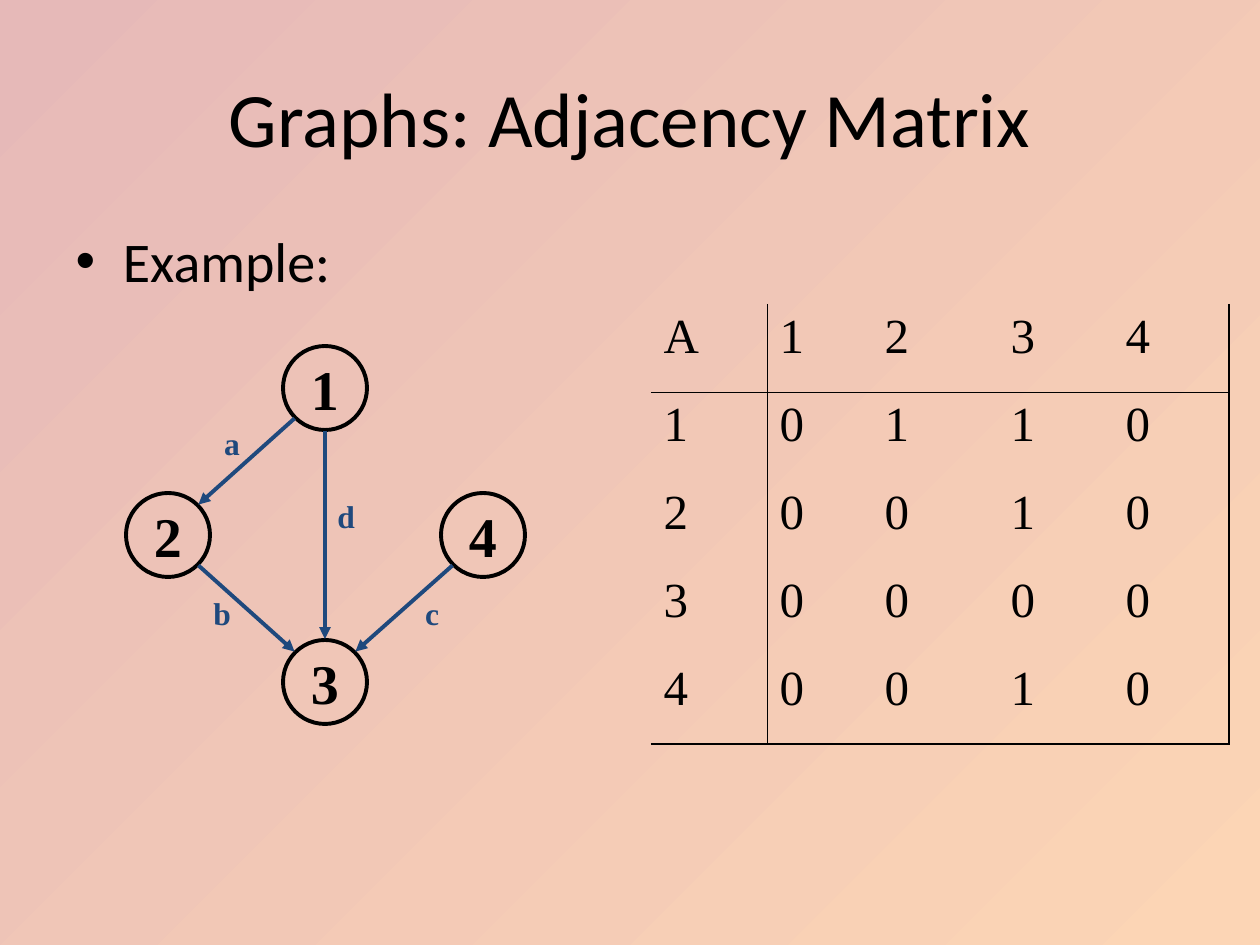
"""Build a slide that shows a directed graph beside its adjacency matrix."""
from dataclasses import dataclass
from math import hypot

from lxml.etree import SubElement
from pptx import Presentation
from pptx.dml.color import RGBColor
from pptx.enum.shapes import MSO_CONNECTOR, MSO_SHAPE
from pptx.enum.text import MSO_ANCHOR, MSO_AUTO_SIZE, PP_ALIGN
from pptx.oxml.ns import qn
from pptx.util import Emu, Pt

TITLE = "Graphs: Adjacency Matrix"
BULLET = "Example:"
NODES = {"1": (325, 388), "2": (168, 535), "4": (483, 535), "3": (325, 682)}
EDGES = [
    ("a", "1", "2", (232, 443)),
    ("b", "2", "3", (222, 613)),
    ("c", "4", "3", (432, 613)),
    ("d", "1", "3", (346, 516)),
]
DIAMETER = 84
LABEL_W, LABEL_H = 42, 50
TABLE_LEFT, TABLE_TOP, ROW_H = 651, 304, 88
COL_WIDTHS = [116, 105, 126, 115, 116]


@dataclass(frozen=True)
class Theme:
    ink: str = "000000"
    edge: str = "1F497D"
    back_start: str = "E6B9B8"
    back_end: str = "FCD5B5"
    sans: str = "Calibri"
    serif: str = "Times New Roman"
    title: int = 44
    body: int = 32
    node: int = 32
    cell: int = 28
    label: int = 18
    line: float = 2.25
    inner_rule: float = 0.45
    outer_rule: float = 1.08


THEME = Theme()


def px(n):
    return Emu(round(n * 914400 / 126))


def box(*lengths):
    return [px(n) for n in lengths]


def place(shape, *lengths):
    shape.left, shape.top, shape.width, shape.height = box(*lengths)


def write(tf, text, size, name, color=THEME.ink, bold=False, align=None):
    tf.text = text
    p = tf.paragraphs[0]
    p.alignment = align
    p.space_before = Pt(0)
    font = p.runs[0].font
    font.size, font.name, font.bold = Pt(size), name, bold
    font.color.rgb = RGBColor.from_string(color)


def style_line(line, color):
    line.color.rgb = RGBColor.from_string(color)
    line.width = Pt(THEME.line)


def paint_background(s):
    fill = s.background.fill
    fill.gradient()
    fill.gradient_angle = 315
    for stop, color in zip(fill.gradient_stops, (THEME.back_start, THEME.back_end)):
        stop.color.rgb = RGBColor.from_string(color)


def add_node(s, name, center):
    x, y = center
    r = DIAMETER / 2
    sp = s.shapes.add_shape(MSO_SHAPE.OVAL, *box(x - r, y - r, DIAMETER, DIAMETER))
    sp.shadow.inherit = False
    sp.fill.background()
    style_line(sp.line, THEME.ink)
    tf = sp.text_frame
    tf.word_wrap = False
    tf.vertical_anchor = MSO_ANCHOR.MIDDLE
    write(tf, name, THEME.node, THEME.serif, bold=True, align=PP_ALIGN.CENTER)


def sign(n):
    return (n > 0) - (n < 0)


def add_edge(s, start, end):
    (x1, y1), (x2, y2) = NODES[start], NODES[end]
    ux, uy = sign(x2 - x1), sign(y2 - y1)
    reach = (DIAMETER / 2 + 1) / hypot(ux, uy)
    dx, dy = ux * reach, uy * reach
    line = s.shapes.add_connector(
        MSO_CONNECTOR.STRAIGHT, *box(x1 + dx, y1 + dy, x2 - dx, y2 - dy))
    style_line(line.line, THEME.edge)
    sp_pr = line._element.spPr
    SubElement(sp_pr.find(qn("a:ln")), qn("a:tailEnd"), type="triangle")
    SubElement(sp_pr, qn("a:effectLst"))


def add_label(s, text, center):
    x, y = center
    tb = s.shapes.add_textbox(*box(x - LABEL_W / 2, y - LABEL_H / 2, LABEL_W, LABEL_H))
    tf = tb.text_frame
    tf.word_wrap = False
    tf.auto_size = MSO_AUTO_SIZE.SHAPE_TO_FIT_TEXT
    write(tf, text, THEME.label, THEME.serif, THEME.edge, True, PP_ALIGN.CENTER)


def matrix_rows():
    names = sorted(NODES)
    links = {(start, end) for _, start, end, _ in EDGES}
    return [["A", *names]] + [
        [row, *(str(int((row, col) in links)) for col in names)] for row in names]


def set_border(cell, side, width):
    ln = SubElement(cell._tc.get_or_add_tcPr(), qn(f"a:ln{side}"), w=str(Pt(width)))
    if width:
        fill = SubElement(ln, qn("a:solidFill"))
        SubElement(fill, qn("a:srgbClr"), val=THEME.ink)
    else:
        SubElement(ln, qn("a:noFill"))


def add_matrix(s):
    rows = matrix_rows()
    n = len(rows)
    frame = s.shapes.add_table(
        n, n, *box(TABLE_LEFT, TABLE_TOP, sum(COL_WIDTHS), ROW_H * n))
    table = frame.table
    table.first_row = table.horz_banding = False
    for col, width in zip(table.columns, COL_WIDTHS):
        col.width = px(width)
    after = {0: THEME.inner_rule, n - 1: THEME.outer_rule}
    before = {1: THEME.inner_rule}
    for i, row in enumerate(rows):
        table.rows[i].height = px(ROW_H)
        for j, value in enumerate(row):
            cell = table.cell(i, j)
            write(cell.text_frame, value, THEME.cell, THEME.serif)
            for side, rules, k in (("L", before, j), ("R", after, j),
                                   ("T", before, i), ("B", after, i)):
                set_border(cell, side, rules.get(k, 0))
            cell.fill.background()


def main():
    prs = Presentation()
    prs.slide_width, prs.slide_height = box(1260, 945)
    s = prs.slides.add_slide(prs.slide_layouts[1])
    paint_background(s)

    title, body = s.placeholders
    place(title, 63, 38, 1134, 158)
    title.text_frame.vertical_anchor = MSO_ANCHOR.MIDDLE
    write(title.text_frame, TITLE, THEME.title, THEME.sans, align=PP_ALIGN.CENTER)
    place(body, 63, 220, 1134, 624)
    write(body.text_frame, BULLET, THEME.body, THEME.sans)

    for name, center in NODES.items():
        add_node(s, name, center)
    for label, start, end, center in EDGES:
        add_edge(s, start, end)
        add_label(s, label, center)
    add_matrix(s)
    prs.save("out.pptx")


if __name__ == "__main__":
    main()
